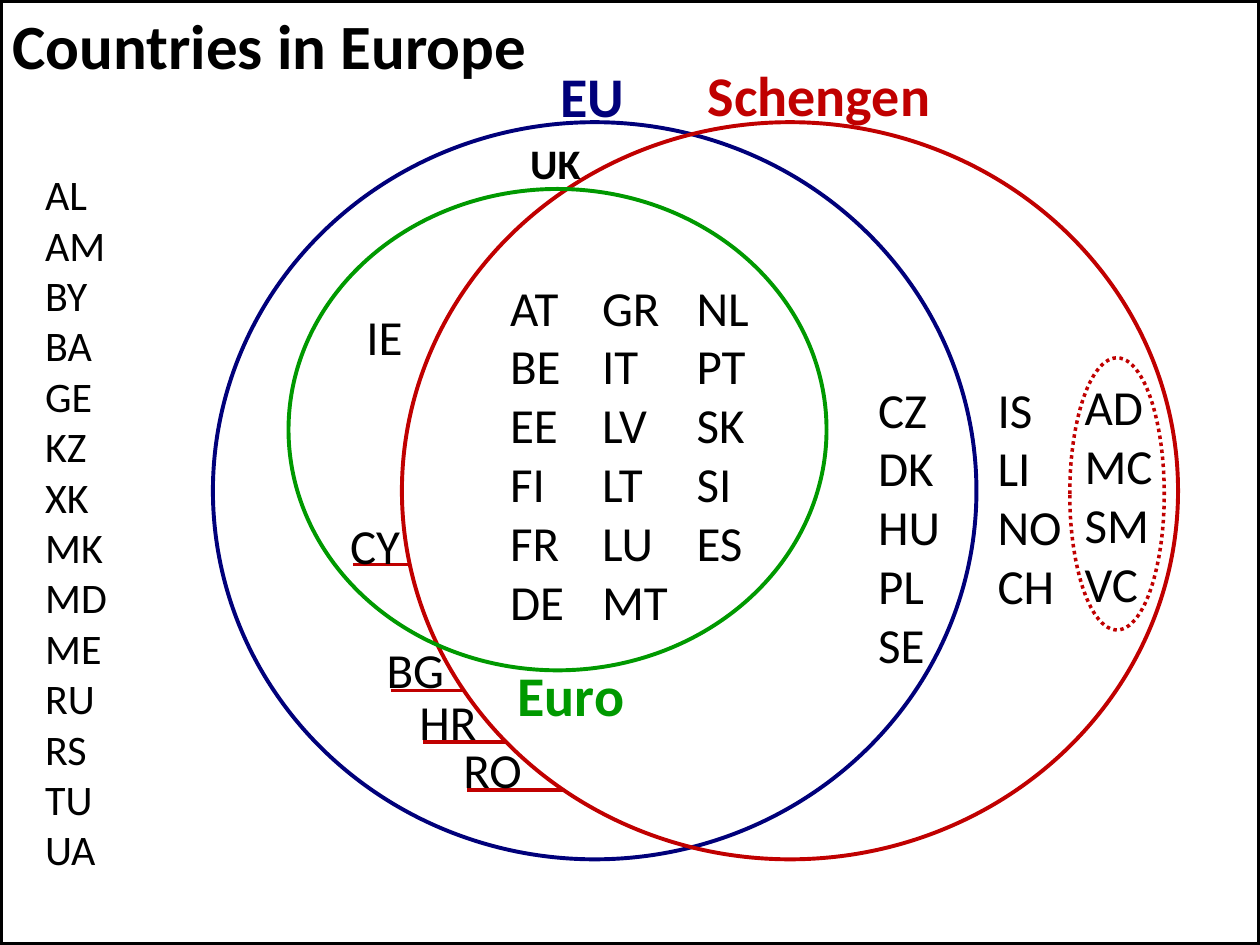
"""Build a Venn diagram slide of European country memberships."""
import dataclasses

import lxml.etree
import pptx
import pptx.dml.color
import pptx.enum.dml
import pptx.enum.shapes
import pptx.enum.text
import pptx.oxml.ns
import pptx.util

Inches = pptx.util.Inches
Pt = pptx.util.Pt
Shapes = pptx.enum.shapes.MSO_SHAPE


@dataclasses.dataclass(frozen=True)
class Theme:
    """Colours, font and type sizes of the slide."""
    font: str = "Calibri"
    black: str = "000000"
    white: str = "FFFFFF"
    eu: str = "00007A"
    schengen: str = "C00000"
    euro: str = "009900"
    title: int = 36
    heading: int = 32
    body: int = 28
    small: int = 24
    line: float = 2.25
    dotted_line: float = 2
    frame_line: float = 3


THEME = Theme()


def rgb(value):
    """Return a colour object for a hexadecimal value."""
    return pptx.dml.color.RGBColor.from_string(value)


def add_outline(slide, kind, box, color, width=THEME.line, dotted=False):
    """Add an unfilled shape with a coloured outline."""
    shape = slide.shapes.add_shape(kind, *map(Inches, box))
    shape.shadow.inherit = False
    shape.fill.background()
    shape.line.color.rgb = rgb(color)
    shape.line.width = Pt(width)
    if dotted:
        shape.line.dash_style = pptx.enum.dml.MSO_LINE.ROUND_DOT


def add_text(slide, text, box, size=THEME.body, color=THEME.black, bold=False):
    """Add a text box holding one paragraph per word line."""
    shape = slide.shapes.add_textbox(*map(Inches, box))
    text_frame = shape.text_frame
    text_frame.text = text
    text_frame.word_wrap = True
    text_frame.auto_size = pptx.enum.text.MSO_AUTO_SIZE.SHAPE_TO_FIT_TEXT
    for paragraph in text_frame.paragraphs:
        for run in paragraph.runs:
            run.font.name = THEME.font
            run.font.size = Pt(size)
            run.font.bold = bold
            run.font.color.rgb = rgb(color)


def add_codes(slide, codes, box, size=THEME.body):
    """Add a column of country codes."""
    add_text(slide, "\n".join(codes.split()), box, size)


def add_underline(slide, left, right, top):
    """Add a horizontal line that ends on the Schengen circle."""
    connector = slide.shapes.add_connector(
        pptx.enum.shapes.MSO_CONNECTOR.STRAIGHT,
        Inches(left), Inches(top), Inches(right), Inches(top))
    connector.line.color.rgb = rgb(THEME.schengen)
    connector.line.width = Pt(THEME.line)
    properties = connector._element.spPr
    lxml.etree.SubElement(properties, pptx.oxml.ns.qn("a:effectLst"))


def add_circles(slide):
    """Add the three overlapping membership circles."""
    for box, color in (
        ((1.69, 0.97, 6.06, 5.85), THEME.eu),
        ((3.19, 0.97, 6.16, 5.85), THEME.schengen),
        ((2.29, 1.5, 4.27, 3.82), THEME.euro),
    ):
        add_outline(slide, Shapes.OVAL, box, color)


def add_countries(slide):
    """Add the country codes of every region."""
    add_codes(slide, "AL AM BY BA GE KZ XK MK MD ME RU RS TU UA",
              (0.26, 1.29, 1.02, 5.76), THEME.small)
    for codes, box in (
        ("IE", (2.81, 2.38, 0.49, 0.57)),
        ("AT BE EE FI FR DE", (3.95, 2.15, 1.1, 2.93)),
        ("GR IT LV LT LU MT", (4.68, 2.15, 1.1, 2.93)),
        ("NL PT SK SI ES", (5.43, 2.15, 0.75, 2.46)),
        ("CZ DK HU PL SE", (6.87, 2.96, 0.72, 2.46)),
        ("IS LI NO CH", (7.82, 2.96, 1.07, 1.99)),
        ("AD MC SM VC", (8.51, 2.94, 0.84, 1.99)),
    ):
        add_codes(slide, codes, box)


def add_candidates(slide):
    """Add the underlined countries linked to the Schengen circle."""
    for code, box, line in (
        ("CY", (2.68, 4.04, 0.63, 0.57), (2.8, 3.26, 4.48)),
        ("BG", (2.97, 5.03, 0.69, 0.57), (3.1, 3.68, 5.48)),
        ("HR", (3.23, 5.44, 0.68, 0.57), (3.36, 4.01, 5.89)),
        ("RO", (3.58, 5.82, 0.8, 0.57), (3.71, 4.47, 6.27)),
    ):
        add_underline(slide, *line)
        add_text(slide, code, box)


def add_headings(slide):
    """Add the title and the bold labels."""
    for text, box, size, color in (
        ("Countries in Europe", (0, 0, 5.11, 0.71), THEME.title, THEME.black),
        ("EU", (4.35, 0.44, 0.82, 0.64), THEME.heading, THEME.eu),
        ("Schengen", (5.52, 0.43, 2.1, 0.64), THEME.heading, THEME.schengen),
        ("Euro", (4.01, 5.19, 1.62, 0.64), THEME.heading, THEME.euro),
        ("UK", (4.11, 1.04, 0.73, 0.5), THEME.small, THEME.black),
    ):
        add_text(slide, text, box, size, color, bold=True)


def main():
    """Build and save the presentation."""
    presentation = pptx.Presentation()
    presentation.slide_width = Inches(10)
    presentation.slide_height = Inches(7.5)
    slide = presentation.slides.add_slide(presentation.slide_layouts[6])
    slide.background.fill.solid()
    slide.background.fill.fore_color.rgb = rgb(THEME.white)
    add_circles(slide)
    add_countries(slide)
    add_candidates(slide)
    add_outline(slide, Shapes.RECTANGLE, (0, 0, 10, 7.5),
                THEME.black, THEME.frame_line)
    add_headings(slide)
    add_outline(slide, Shapes.OVAL, (8.49, 2.84, 0.75, 2.16),
                THEME.schengen, THEME.dotted_line, dotted=True)
    presentation.save("out.pptx")


main()
